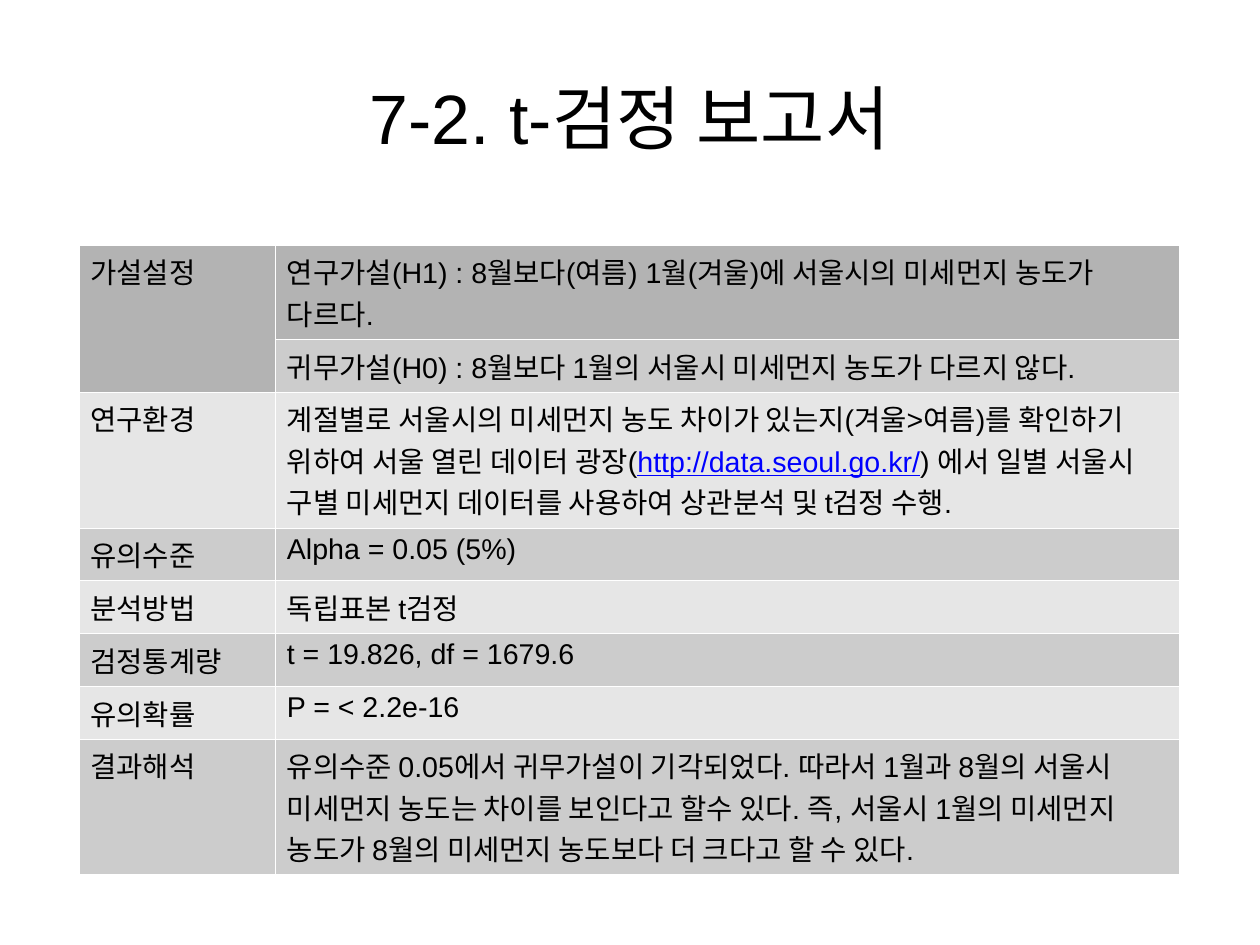
from lxml.etree import SubElement
from pptx import Presentation
from pptx.dml.color import RGBColor
from pptx.enum.text import MSO_ANCHOR as Anchor, MSO_AUTO_SIZE as AutoSize, PP_ALIGN as Align
from pptx.oxml.ns import qn
from pptx.util import Pt

COLORS = {
    "text": "000000",
    "link": "0000FF",
    "border": "FFFFFF",
    "header": "B3B3B3",
    "dark": "CCCCCC",
    "light": "E6E6E6",
}
FONT = "Arial"
PORTAL_URL = "http://data.seoul.go.kr/"
COLUMN_WIDTHS = (123.84, 569.52)
ROW_HEIGHT = 31

# Each row holds its label and the runs of its description.
REPORT = [
    ("가설설정", ["연구가설(H1) : 8월보다(여름) 1월(겨울)에 서울시의 미세먼지 농도가 다르다."]),
    ("", ["귀무가설(H0) : 8월보다 1월의 서울시 미세먼지 농도가 다르지 않다."]),
    ("연구환경", [
        "계절별로 서울시의 미세먼지 농도 차이가 있는지(겨울>여름)를 확인하기 위하여 "
        "서울 열린 데이터 광장(",
        PORTAL_URL,
        ") 에서 일별 서울시 구별 미세먼지 데이터를 사용하여 상관분석 및 t검정 수행.",
    ]),
    ("유의수준", ["Alpha = 0.05 (5%)"]),
    ("분석방법", ["독립표본 t검정"]),
    ("검정통계량", ["t = 19.826, df = 1679.6"]),
    ("유의확률", ["P = < 2.2e-16"]),
    ("결과해석", [
        "유의수준 0.05에서 귀무가설이 기각되었다. 따라서 1월과 8월의 서울시 미세먼지 농도는 "
        "차이를 보인다고 할수 있다. 즉, 서울시 1월의 미세먼지 농도가 8월의 미세먼지 농도보다 "
        "더 크다고 할 수 있다.",
    ]),
]


def add_run(paragraph, text, size):
    run = paragraph.add_run()
    run.text = text
    is_link = text == PORTAL_URL
    run.font.name = FONT
    run.font.size = Pt(size)
    run.font.underline = is_link
    run.font.color.rgb = RGBColor.from_string(COLORS["link" if is_link else "text"])


def add_title(slide, text):
    title = slide.shapes.title
    title.left, title.top, title.width, title.height = Pt(39.6), Pt(23.8), Pt(714.2), Pt(99.4)
    frame = title.text_frame
    frame.auto_size = AutoSize.NONE
    frame.word_wrap = True
    frame.vertical_anchor = Anchor.MIDDLE
    frame.margin_left = frame.margin_right = frame.margin_top = frame.margin_bottom = 0
    paragraph = frame.paragraphs[0]
    paragraph.alignment = Align.CENTER
    add_run(paragraph, text, 44)


def add_borders(cell):
    properties = cell._tc.get_or_add_tcPr()
    for side in ("a:lnL", "a:lnR", "a:lnT", "a:lnB"):
        line = SubElement(properties, qn(side), w=str(Pt(0.06)))
        fill = SubElement(line, qn("a:solidFill"))
        SubElement(fill, qn("a:srgbClr"), val=COLORS["border"])


def format_cell(cell, runs, color):
    cell.margin_left = cell.margin_right = Pt(7.2)
    cell.margin_top = cell.margin_bottom = Pt(3.6)
    add_borders(cell)
    cell.fill.solid()
    cell.fill.fore_color.rgb = RGBColor.from_string(COLORS[color])
    for text in runs:
        add_run(cell.text_frame.paragraphs[0], text, 18)


def add_report_table(slide):
    frame = slide.shapes.add_table(
        len(REPORT), 2, Pt(49.7), Pt(154.4),
        Pt(sum(COLUMN_WIDTHS)), Pt(ROW_HEIGHT * len(REPORT)))
    table = frame.table
    table.first_row = table.horz_banding = False
    for column, width in zip(table.columns, COLUMN_WIDTHS):
        column.width = Pt(width)
    table.cell(0, 0).merge(table.cell(1, 0))
    for index, (label, description) in enumerate(REPORT):
        table.rows[index].height = Pt(ROW_HEIGHT)
        band = "dark" if index % 2 else "light"
        color = "header" if index == 0 else band
        format_cell(table.cell(index, 0), [label] if label else [], color)
        format_cell(table.cell(index, 1), description, color)


def main():
    deck = Presentation()
    deck.slide_width, deck.slide_height = Pt(793.7), Pt(595.3)
    slide = deck.slides.add_slide(deck.slide_layouts[5])
    add_title(slide, "7-2. t-검정 보고서")
    add_report_table(slide)
    deck.save("out.pptx")


if __name__ == "__main__":
    main()
